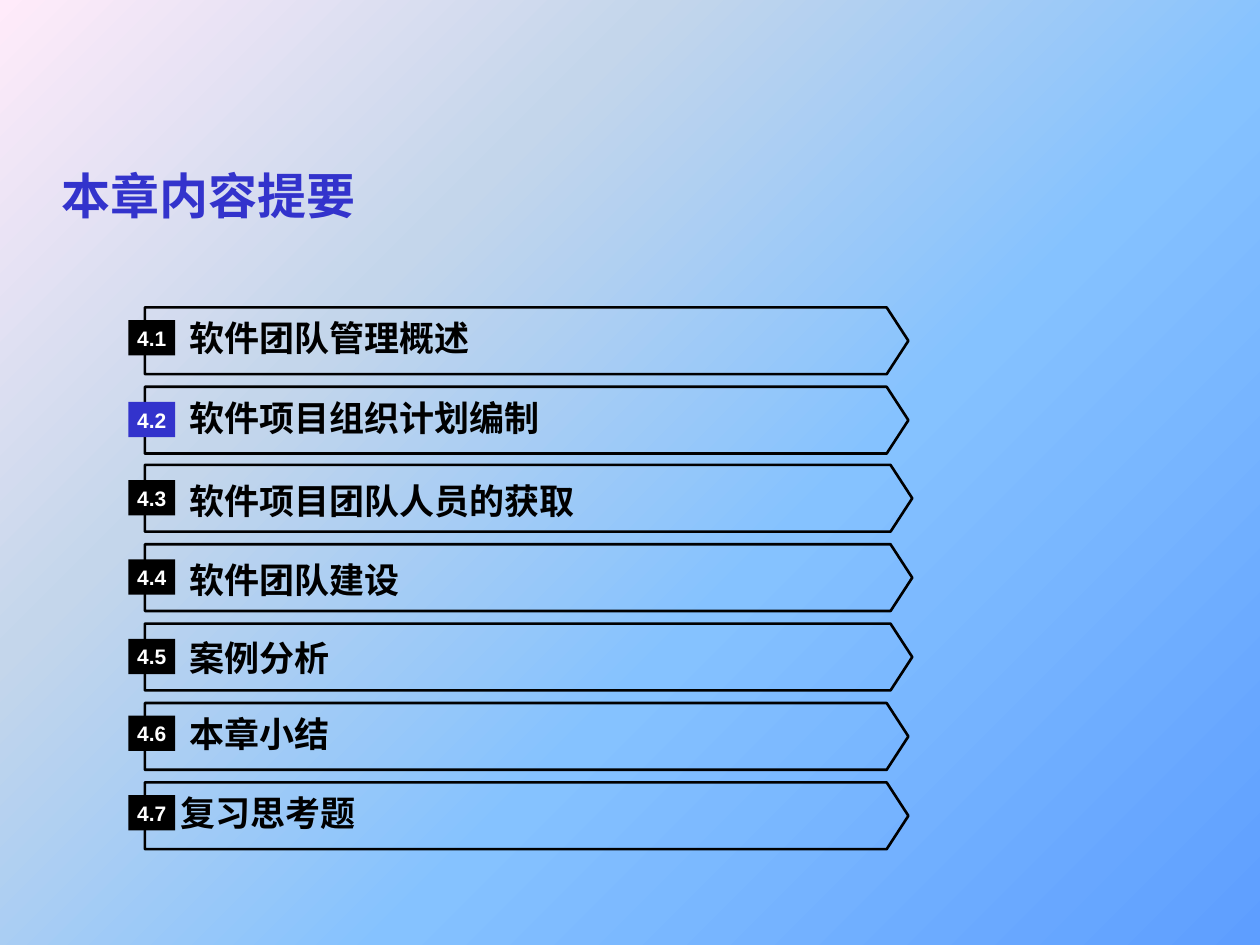
"""Build the chapter outline slide: a title and seven numbered arrow bars."""
import pptx
import pptx.dml.color
import pptx.enum.shapes
import pptx.enum.text
import pptx.oxml
import pptx.oxml.ns
import pptx.util

Inches = pptx.util.Inches
Pt = pptx.util.Pt
RGBColor = pptx.dml.color.RGBColor
MSO_SHAPE = pptx.enum.shapes.MSO_SHAPE
PP_ALIGN = pptx.enum.text.PP_ALIGN
MIDDLE = pptx.enum.text.MSO_ANCHOR.MIDDLE
qn = pptx.oxml.ns.qn

BLACK = RGBColor(0x00, 0x00, 0x00)
WHITE = RGBColor(0xFF, 0xFF, 0xFF)
INDIGO = RGBColor(0x33, 0x33, 0xCC)
BACKGROUND_STOPS = [
    (0, RGBColor(0x5E, 0x9E, 0xFF)),
    (40, RGBColor(0x85, 0xC2, 0xFF)),
    (70, RGBColor(0xC4, 0xD6, 0xEB)),
    (100, RGBColor(0xFF, 0xEB, 0xFA)),
]

SECTIONS = [
    ("软件团队管理概述", 2.44, 6.06, 2.48, 2.54),
    ("软件项目组织计划编制", 3.07, 6.06, 3.11, 3.19),
    ("软件项目团队人员的获取", 3.69, 6.09, 3.77, 3.81),
    ("软件团队建设", 4.32, 6.09, 4.40, 4.44),
    ("案例分析", 4.95, 6.09, 5.02, 5.07),
    ("本章小结", 5.58, 6.06, 5.62, 5.68),
    ("复习思考题", 6.21, 6.06, 6.25, 6.31),
]


def add_run(p, text, size, font, color):
    r = p.add_run()
    r.text = text
    r.font.size = Pt(size)
    r.font.name = font
    r.font.bold = True
    r.font.color.rgb = color


def clear_frame(tf):
    tf.margin_left = tf.margin_right = tf.margin_top = tf.margin_bottom = 0
    tf.vertical_anchor = MIDDLE
    tf.word_wrap = True


prs = pptx.Presentation()
prs.slide_width = Inches(10)
prs.slide_height = Inches(7.5)
s = prs.slides.add_slide(prs.slide_layouts[5])

s.background.fill.gradient()
stops = s.element.find(".//" + qn("a:gsLst"))
for stop in list(stops):
    stops.remove(stop)
for position, color in BACKGROUND_STOPS:
    stops.append(pptx.oxml.parse_xml(
        f'<a:gs {pptx.oxml.ns.nsdecls("a")} pos="{position * 1000}">'
        f'<a:srgbClr val="{color}"/></a:gs>'))
s.element.find(".//" + qn("a:lin")).set("ang", str(225 * 60000))

title = s.shapes.title
title.left, title.top = Inches(0.39), Inches(1.15)
title.width, title.height = Inches(9.61), Inches(0.79)
title.text_frame.vertical_anchor = MIDDLE
p = title.text_frame.paragraphs[0]
p.alignment = PP_ALIGN.LEFT
add_run(p, "本章内容提要", 28, "Arial", INDIGO)

for number, (name, bar_top, bar_width, text_top, badge_top) in enumerate(SECTIONS, 1):
    bar = s.shapes.add_shape(MSO_SHAPE.PENTAGON, Inches(1.15), Inches(bar_top),
                             Inches(bar_width), Inches(0.53))
    bar.adjustments[0] = 0.325
    bar.shadow.inherit = False
    bar.fill.background()
    bar.line.color.rgb = BLACK
    bar.line.width = Pt(1.5)

    label = s.shapes.add_textbox(Inches(1.43), Inches(text_top),
                                 Inches(bar_width - 0.68), Inches(0.4))
    clear_frame(label.text_frame)
    if number < len(SECTIONS):
        label.text_frame.margin_left = Inches(0.07)
    add_run(label.text_frame.paragraphs[0], name, 20, "Times New Roman", BLACK)

    badge = s.shapes.add_shape(MSO_SHAPE.RECTANGLE, Inches(1.02), Inches(badge_top),
                               Inches(0.37), Inches(0.28))
    badge.shadow.inherit = False
    badge.fill.solid()
    badge.fill.fore_color.rgb = INDIGO if number == 2 else BLACK
    badge.line.fill.background()
    clear_frame(badge.text_frame)
    p = badge.text_frame.paragraphs[0]
    p.alignment = PP_ALIGN.CENTER
    add_run(p, f"4.{number}", 12, "Arial", WHITE)

prs.save("out.pptx")
